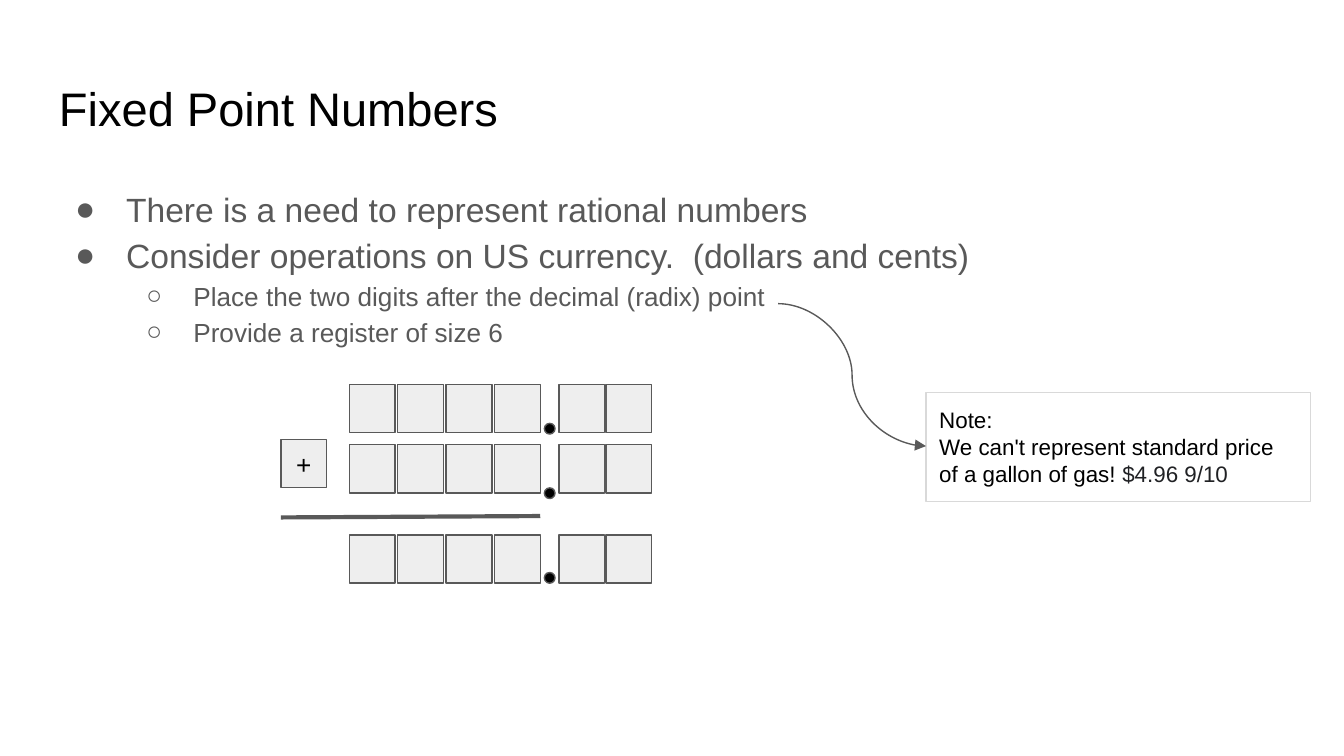
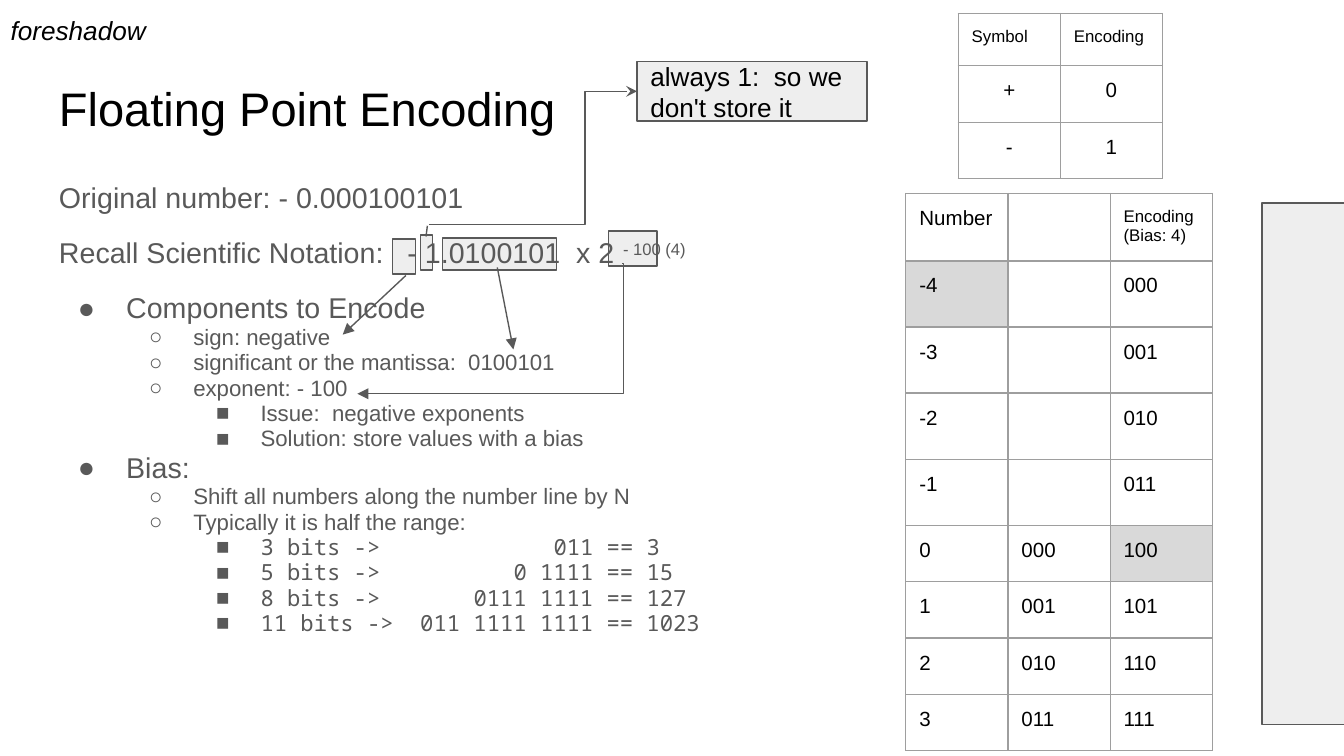
"""Build two slides on fixed point numbers and floating point encoding."""
from lxml.etree import SubElement
from pptx import Presentation
from pptx.dml.color import RGBColor
from pptx.enum.shapes import MSO_CONNECTOR, MSO_SHAPE
from pptx.enum.text import MSO_ANCHOR, PP_ALIGN
from pptx.oxml.ns import qn
from pptx.util import Pt

PX = 9144
COLORS = {"ink": "000000", "body": "595959", "panel": "EEEEEE",
          "rule": "D9D9D9", "grid": "9E9E9E", "price": "202124"}
SANS, MONO = "Arial", "Noto Sans Mono"
BULLETS = "●○■"
TITLE_AREA = (34, 49, 932, 63)
BODY_AREA = (34, 126, 932, 374)


def place(slide, area, paragraphs=(), fill=None, line=None, kind=MSO_SHAPE.RECTANGLE,
          anchor=MSO_ANCHOR.TOP, color="ink", spacing=1.0):
    edges = [edge * PX for edge in area]
    if fill or line:
        item = slide.shapes.add_shape(kind, *edges)
        item.shadow.inherit = False
        if fill:
            item.fill.solid()
            item.fill.fore_color.rgb = RGBColor.from_string(COLORS[fill])
        else:
            item.fill.background()
        item.line.color.rgb = RGBColor.from_string(COLORS[line])
        item.line.width = Pt(0.75)
    else:
        item = slide.shapes.add_textbox(*edges)
    frame = item.text_frame
    frame.word_wrap = True
    frame.vertical_anchor = anchor
    frame.margin_left = frame.margin_right = 10 * PX
    frame.margin_top = frame.margin_bottom = 10 * PX
    for number, entry in enumerate(paragraphs):
        paragraph = frame.add_paragraph() if number else frame.paragraphs[0]
        paragraph.alignment = entry.get("align", PP_ALIGN.LEFT)
        paragraph.line_spacing = spacing
        paragraph.space_before = Pt(entry.get("before", 0))
        level, size = entry.get("level", 0), entry["size"]
        if level:
            paragraph.level = level - 1
            properties = paragraph._p.get_or_add_pPr()
            properties.set("marL", str(level * 50 * PX))
            properties.set("indent", str(-round(25 + size / 1.44) * PX))
            tint = SubElement(properties, qn("a:buClr"))
            SubElement(tint, qn("a:srgbClr"), val=COLORS["body"])
            SubElement(properties, qn("a:buFont"), typeface=SANS)
            SubElement(properties, qn("a:buChar"), char=BULLETS[level - 1])
        for text, tone, extras in entry["runs"]:
            run = paragraph.add_run()
            run.text = text
            run.font.name = entry.get("font", SANS)
            run.font.size = Pt(size)
            run.font.italic = entry.get("italic")
            run.font.color.rgb = RGBColor.from_string(COLORS[tone or color])
            for name, value in extras.items():
                run._r.get_or_add_rPr().set(name, str(value))


def link(slide, start, end, kind=MSO_CONNECTOR.STRAIGHT, arrow=None, bend=None, width=0.75):
    connector = slide.shapes.add_connector(kind, *[value * PX for value in start + end])
    connector.line.color.rgb = RGBColor.from_string(COLORS["body"])
    connector.line.width = Pt(width)
    if arrow:
        SubElement(connector.line._get_or_add_ln(), qn("a:tailEnd"), type=arrow)
    properties = connector._element.spPr
    if bend is not None:
        guides = properties.find(qn("a:prstGeom")).get_or_add_avLst()
        SubElement(guides, qn("a:gd"), name="adj1", fmla=f"val {bend}")
    SubElement(properties, qn("a:effectLst"))


deck = Presentation()
deck.slide_width, deck.slide_height = 1000 * PX, 1000 * PX * 9 // 16
fixed, floating = [deck.slides.add_slide(deck.slide_layouts[6]) for _ in range(2)]

for area in [(313, 175, 9, 26), (453, 172, 36, 26), (292, 178, 17, 26), (329, 177, 85, 24)]:
    place(floating, area, fill="panel", line="body")

for slide, title in [(fixed, "Fixed Point Numbers"), (floating, "Floating Point Encoding")]:
    place(slide, TITLE_AREA, [{"runs": [(title, None, {})], "size": 25.2}])

fixed_points = [
    (1, "There is a need to represent rational numbers"),
    (1, "Consider operations on US currency.  (dollars and cents)"),
    (2, "Place the two digits after the decimal (radix) point"),
    (2, "Provide a register of size 6"),
]
place(fixed, BODY_AREA,
      [{"runs": [(text, None, {})], "level": level, "size": 18 if level == 1 else 14}
       for level, text in fixed_points], color="body", spacing=1.15)

for row_top, point_top in [(286, 315), (331, 363), (398, 426)]:
    for digit_left in [260, 296, 332, 368, 416, 451]:
        place(fixed, (digit_left, row_top, 34, 36), fill="panel", line="body")
    place(fixed, (405, point_top, 8, 8), fill="ink", line="body", kind=MSO_SHAPE.OVAL)
link(fixed, (209, 385), (402, 384), width=2.25)
place(fixed, (209, 327, 34, 36),
      [{"runs": [("+", None, {})], "size": 14, "align": PP_ALIGN.CENTER}],
      fill="panel", line="body", anchor=MSO_ANCHOR.MIDDLE)
place(fixed, (689, 292, 286, 81), [
    {"runs": [("Note:", None, {})], "size": 12},
    {"runs": [("We can't represent standard price of a gallon of gas! ", None, {}),
              ("$4.96 9/10", "price", {})], "size": 12},
], line="rule")
link(fixed, (579, 226), (689, 332), MSO_CONNECTOR.CURVE, "triangle", 50000)

notation = [
    {"runs": [("Original number: - 0.000100101", None, {})], "size": 15.3},
    {"runs": [("Recall Scientific Notation:   - 1.0100101  x 2 ", None, {}),
              ("- 100 (4)", None, {"baseline": 30000})], "size": 15.3, "before": 12},
]
encoding_points = [
    (1, "Components to Encode"),
    (2, "sign: negative"),
    (2, "significant or the mantissa:  0100101"),
    (2, "exponent: - 100"),
    (3, "Issue:  negative exponents"),
    (3, "Solution: store values with a bias"),
    (1, "Bias:"),
    (2, "Shift all numbers along the number line by N"),
    (2, "Typically it is half the range:"),
]
for level, text in encoding_points:
    notation.append({"runs": [(text, None, {})], "level": level,
                     "size": 15.3 if level == 1 else 11.9,
                     "before": 12 if text == "Components to Encode" else 0})
biases = [("3 bits ->", "011", "3"), ("5 bits ->", "0 1111", "15"),
          ("8 bits ->", "0111 1111", "127"), ("11 bits ->", "011 1111 1111", "1023")]
for width, pattern, value in biases:
    stretch = (24 - len(width) - len(pattern)) * 714
    notation.append({"runs": [(width, None, {}), (" ", None, {"spc": stretch}),
                              (f"{pattern} == {value}", None, {})],
                     "level": 3, "size": 11.9, "font": MONO})
place(floating, BODY_AREA, notation, color="body", spacing=0.95)

number_rows = [["Number", "", "Encoding (Bias: 4)"]]
for number in range(-4, 4):
    number_rows.append([str(number), f"{number:03b}" if number >= 0 else "", f"{number + 4:03b}"])
symbol_rows = [["Symbol", "Encoding"], ["+", "0"], ["-", "1"]]
tables = [(674, 144, number_rows, PP_ALIGN.LEFT, {(1, 0), (5, 2)}),
          (713, 10, symbol_rows, PP_ALIGN.CENTER, set())]
for left, top, rows, align, shaded in tables:
    columns = len(rows[0])
    table = floating.shapes.add_table(len(rows), columns, left * PX, top * PX, columns * 76 * PX,
                                      (39 + 42 * (len(rows) - 1)) * PX).table
    table.first_row = table.horz_banding = False
    for column in table.columns:
        column.width = 76 * PX
    for row_number, texts in enumerate(rows):
        table.rows[row_number].height = (42 if row_number else 39) * PX
        for column_number, text in enumerate(texts):
            cell = table.cell(row_number, column_number)
            cell.margin_left = cell.margin_right = 10 * PX
            cell.margin_top = cell.margin_bottom = 10 * PX
            for side in ("lnL", "lnR", "lnT", "lnB"):
                border = SubElement(cell._tc.get_or_add_tcPr(), qn(f"a:{side}"), w=str(Pt(0.75)))
                paint = SubElement(border, qn("a:solidFill"))
                SubElement(paint, qn("a:srgbClr"), val=COLORS["grid"])
            if (row_number, column_number) in shaded:
                cell.fill.solid()
                cell.fill.fore_color.rgb = RGBColor.from_string(COLORS["rule"])
            else:
                cell.fill.background()
            paragraph = cell.text_frame.paragraphs[0]
            if text:
                paragraph.alignment = align if row_number else PP_ALIGN.LEFT
                run = paragraph.add_run()
                run.text = text
                run.font.name = SANS
                run.font.size = Pt(9 if text.startswith(("Encoding", "Symbol")) else 11)
                run.font.color.rgb = RGBColor.from_string(COLORS["ink"])
            else:
                ending = SubElement(paragraph._p, qn("a:endParaRPr"), sz="1750")
                SubElement(ending, qn("a:latin"), typeface=SANS)

link(floating, (370, 199), (382, 260), arrow="triangle")
link(floating, (302, 205), (255, 249), arrow="triangle")
link(floating, (463, 196), (266, 293), MSO_CONNECTOR.ELBOW, "triangle", -600)
place(floating, (474, 46, 171, 44),
      [{"runs": [("always 1:  so we don't store it", None, {})], "size": 14}],
      fill="panel", line="body", anchor=MSO_ANCHOR.MIDDLE)
link(floating, (319, 167), (474, 68), MSO_CONNECTOR.ELBOW, "stealth", 75000)
link(floating, (317, 176), (318, 168))
place(floating, (939, 151, 67, 388), fill="panel", line="body")
place(floating, (-2, 1, 281, 44),
      [{"runs": [("foreshadow", None, {})], "size": 14, "italic": True}])

deck.save("out.pptx")
